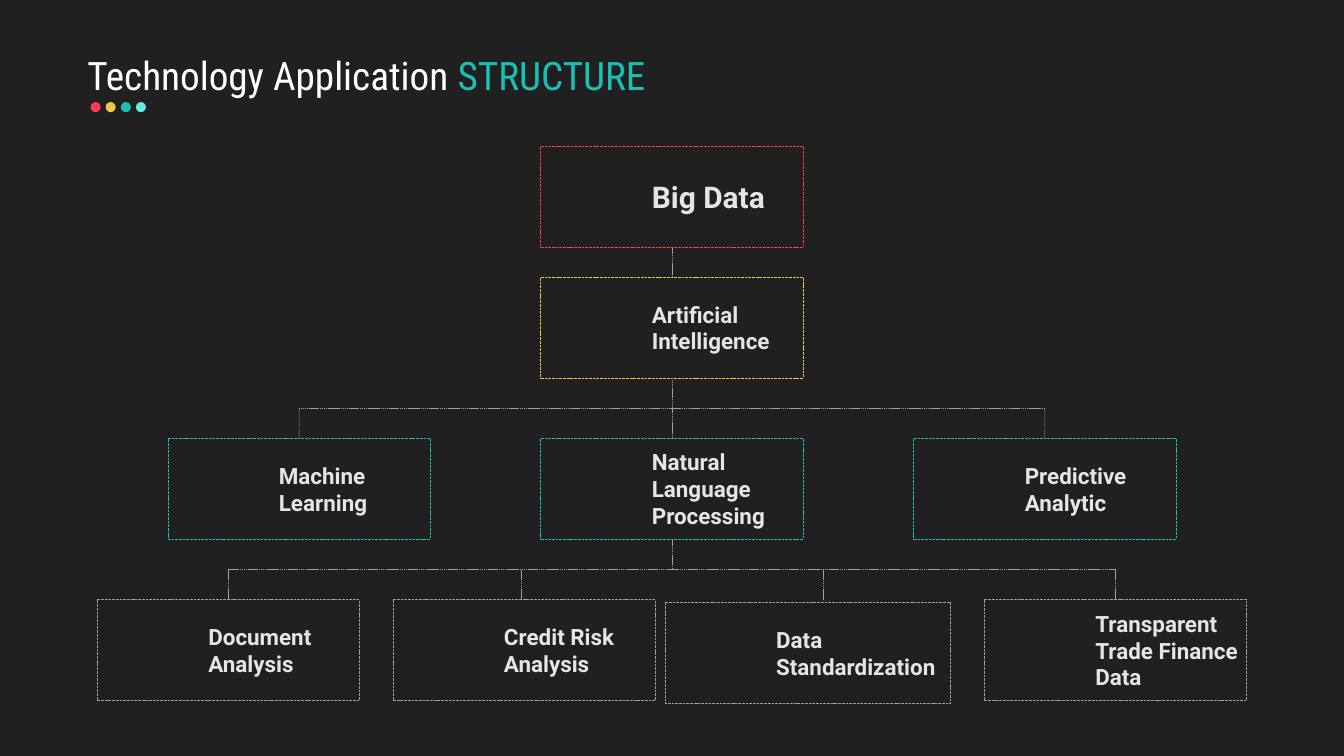
from lxml.etree import SubElement
from pptx import Presentation
from pptx.dml.color import RGBColor
from pptx.enum.dml import MSO_LINE
from pptx.enum.shapes import MSO_CONNECTOR, MSO_SHAPE
from pptx.enum.text import MSO_ANCHOR, PP_ALIGN
from pptx.oxml.ns import qn
from pptx.util import Pt

COLORS = {
    "background": "202020",
    "white": "FFFFFF",
    "text": "E5E5E5",
    "gray": "A0A0A3",
    "red": "FC395B",
    "yellow": "E9C944",
    "teal": "19C0B4",
    "aqua": "63EBE1",
}
BOX_WIDTH, BOX_HEIGHT = 280.8, 108
CENTER = 720
BOTTOM, TOP = 2, 0


def color(name):
    return RGBColor.from_string(COLORS[name])


def style_run(run, font_name, size, color_name, bold=False):
    run.font.name = font_name
    run.font.size = Pt(size)
    run.font.bold = bold
    run.font.color.rgb = color(color_name)


def set_frame(text_frame, left, right):
    text_frame.word_wrap = True
    text_frame.vertical_anchor = MSO_ANCHOR.MIDDLE
    text_frame.margin_left, text_frame.margin_right = Pt(left), Pt(right)
    text_frame.margin_top = text_frame.margin_bottom = Pt(3.6)


def style_line(line, color_name, width):
    line.color.rgb = color(color_name)
    line.width = Pt(width)
    line.dash_style = MSO_LINE.SQUARE_DOT


def add_title(slide, parts):
    shape = slide.shapes.add_textbox(Pt(93.6), Pt(56.2), Pt(950.4), Pt(54))
    set_frame(shape.text_frame, 0, 0)
    paragraph = shape.text_frame.paragraphs[0]
    paragraph.line_spacing = 0.9
    for text, color_name in parts:
        run = paragraph.add_run()
        run.text = text
        style_run(run, "Roboto Condensed", 42, color_name)


def add_dots(slide, color_names):
    for index, color_name in enumerate(color_names):
        shape = slide.shapes.add_shape(
            MSO_SHAPE.OVAL, Pt(97 + 16.2 * index), Pt(109.4), Pt(10.8), Pt(10.8))
        shape.shadow.inherit = False
        shape.fill.solid()
        shape.fill.fore_color.rgb = color(color_name)
        shape.line.fill.background()


def add_box(slide, text, left, top, color_name, width=BOX_WIDTH, size=24):
    shape = slide.shapes.add_shape(
        MSO_SHAPE.ROUNDED_RECTANGLE, Pt(left), Pt(top), Pt(width), Pt(BOX_HEIGHT))
    shape.adjustments[0] = 0
    shape.shadow.inherit = False
    shape.fill.background()
    style_line(shape.line, color_name, 1)
    set_frame(shape.text_frame, 118.8, 7.2)
    shape.text_frame.text = text
    for paragraph in shape.text_frame.paragraphs:
        paragraph.alignment = PP_ALIGN.LEFT
        for run in paragraph.runs:
            style_run(run, "Roboto", size, "text", bold=True)
    return shape


def add_line(slide, start, end, upper=None, lower=None):
    connector = slide.shapes.add_connector(
        MSO_CONNECTOR.STRAIGHT, *(Pt(value) for value in (*start, *end)))
    style_line(connector.line, "gray", 0.5)
    SubElement(connector.element.spPr, qn("a:effectLst"))
    if upper is not None:
        connector.begin_connect(upper, BOTTOM)
    if lower is not None:
        connector.end_connect(lower, TOP)


def add_branches(slide, parent, bus_y, child_top, drops):
    add_line(slide, (CENTER, bus_y - 32.4), (CENTER, bus_y), upper=parent)
    add_line(slide, (drops[0][0], bus_y), (drops[-1][0], bus_y))
    for x, child in drops:
        add_line(slide, (x, bus_y), (x, child_top), lower=child)


def main():
    presentation = Presentation()
    presentation.slide_width, presentation.slide_height = Pt(1440), Pt(810)
    slide = presentation.slides.add_slide(presentation.slide_layouts[6])
    slide.background.fill.solid()
    slide.background.fill.fore_color.rgb = color("background")

    add_dots(slide, ["red", "yellow", "teal", "aqua"])
    add_title(slide, [("Technology Application ", "white"), ("STRUCTURE", "teal")])

    middle = CENTER - BOX_WIDTH / 2
    big_data = add_box(slide, "Big Data", middle, 157, "red", size=32)
    intelligence = add_box(slide, "Artificial Intelligence", middle, 297, "yellow")
    add_line(slide, (CENTER, 265), (CENTER, 297), big_data, intelligence)

    column_gap = 399.6
    methods = [
        add_box(slide, text, middle + column_gap * offset, 469.8, "teal")
        for offset, text in ((-1, "Machine Learning"),
                             (0, "Natural Language Processing"),
                             (1, "Predictive Analytic"))]
    add_branches(slide, intelligence, 437.4, 469.8, [
        (CENTER + column_gap * offset, method)
        for offset, method in zip((-1, 0, 1), methods)])

    document = add_box(slide, "Document Analysis", 104.4, 642.6, "gray")
    add_box(slide, "Credit Risk Analysis", 421.2, 642.6, "gray")
    add_box(slide, "Data\nStandardization", 712.8, 645.8, "gray", width=306)
    trade = add_box(slide, "Transparent Trade Finance Data", 1054.8, 642.6, "gray")
    add_branches(slide, methods[1], 610.2, 642.6, [
        (244.8, document), (558, None), (882, None), (1195.2, trade)])

    presentation.save("out.pptx")


if __name__ == "__main__":
    main()
